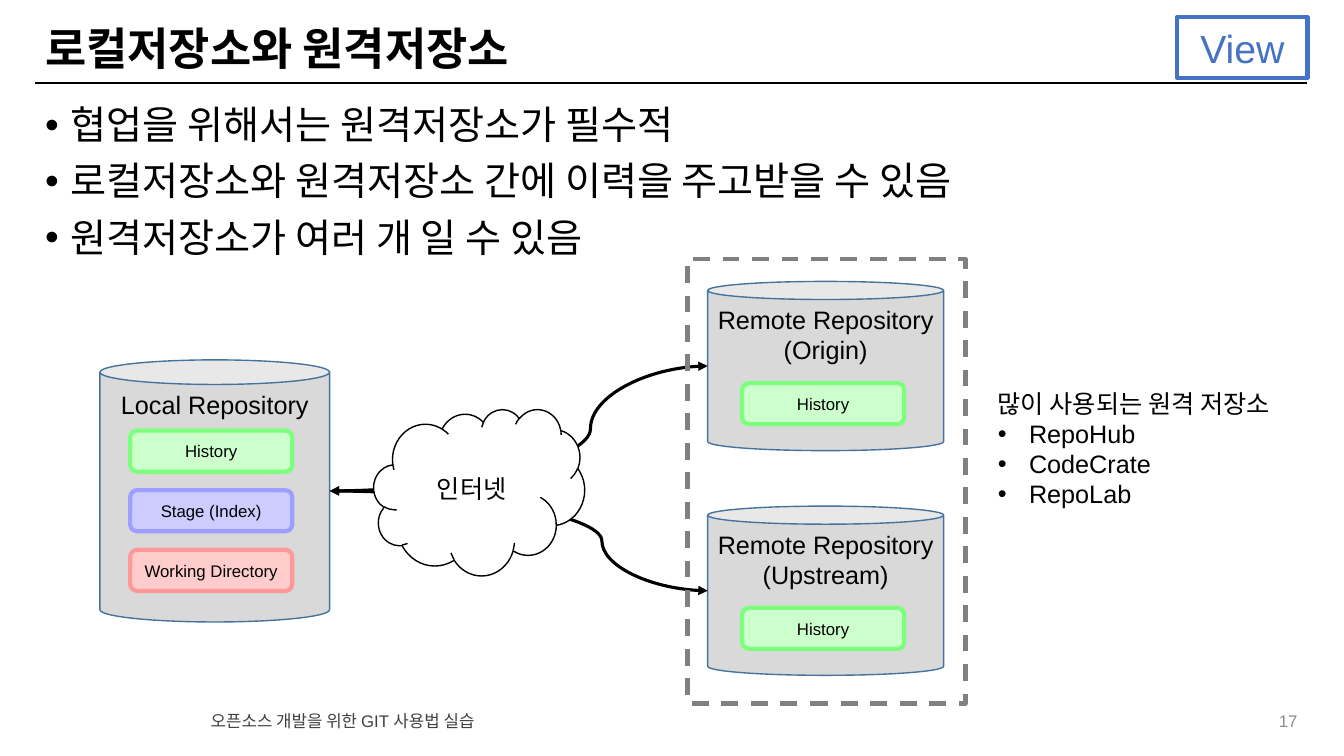
from collections import namedtuple
from dataclasses import dataclass

from lxml.etree import SubElement
from pptx import Presentation
from pptx.dml.color import RGBColor
from pptx.enum.dml import MSO_LINE
from pptx.enum.shapes import MSO_CONNECTOR, MSO_SHAPE
from pptx.enum.text import MSO_ANCHOR, PP_ALIGN
from pptx.oxml.ns import qn
from pptx.util import Inches, Pt

COLS, ROWS = 32, 18
WIDTH, HEIGHT = Inches(13.33), Inches(7.5)
Box = namedtuple("Box", "x y w h")


@dataclass(frozen=True)
class Theme:
    """Colours, type sizes and font of the slide."""
    font: str = "Arial"
    title: int = 32
    body: int = 28
    label: int = 18
    small: int = 12
    ink: str = "000000"
    paper: str = "FFFFFF"
    accent: str = "4472C4"
    footer: str = "404040"
    number: str = "8C8C8C"
    frame: str = "808080"
    can: tuple = ("D9D9D9", "43739E")
    history: tuple = ("CCFFCC", "7CFF7C")
    stage: tuple = ("CCCCFF", "9E9EFF")
    working: tuple = ("FFCCCC", "FF9999")


T = Theme()


def emu(*cells):
    """Turn alternating column and row counts into slide lengths."""
    return [int(c * (HEIGHT / ROWS if i % 2 else WIDTH / COLS)) for i, c in enumerate(cells)]


def write(sp, lines, size, color=T.ink, align=PP_ALIGN.LEFT, anchor=MSO_ANCHOR.MIDDLE,
          bold=False, spacing=None, before=0, indent=0, bullets_from=None, wrap=True):
    """Fill a shape with formatted paragraphs, bulleted from a given line on."""
    tf = sp.text_frame
    tf.text = "\n".join(lines)
    tf.word_wrap, tf.vertical_anchor = wrap, anchor
    for i, p in enumerate(tf.paragraphs):
        p.alignment = align
        if spacing:
            p.line_spacing = spacing
        if before and i:
            p.space_before = Pt(before)
        if bullets_from is not None and i >= bullets_from:
            pPr = p._p.get_or_add_pPr()
            pPr.set("marL", str(Inches(indent)))
            pPr.set("indent", str(-Inches(indent)))
            SubElement(pPr, qn("a:buFont")).set("typeface", T.font)
            SubElement(pPr, qn("a:buChar")).set("char", "•")
        for r in p.runs:
            r.font.name, r.font.size, r.font.bold = T.font, Pt(size), bold
            r.font.color.rgb = RGBColor.from_string(color)


def text(s, box, lines, size, **style):
    """Add a text box."""
    write(s.shapes.add_textbox(*emu(*box)), lines, size, **style)


def shape(s, kind, box, fill, line, width):
    """Add a flat preset shape, unfilled when fill is None."""
    sp = s.shapes.add_shape(kind, *emu(*box))
    sp.shadow.inherit = False
    if fill:
        sp.fill.solid()
        sp.fill.fore_color.rgb = RGBColor.from_string(fill)
    else:
        sp.fill.background()
    sp.line.color.rgb = RGBColor.from_string(line)
    sp.line.width = Pt(width)
    return sp


def connector(s, kind, start, end, width):
    """Add a black line without a shadow."""
    c = s.shapes.add_connector(kind, *emu(*start, *end))
    c.line.color.rgb = RGBColor.from_string(T.ink)
    c.line.width = Pt(width)
    SubElement(c._element.spPr, qn("a:effectLst"))
    return c


def curve(s, start, end, bend):
    """Add a curved two-headed arrow that turns at the given share of its width."""
    c = connector(s, MSO_CONNECTOR.CURVE, start, end, 2.25)
    ln = c.line._get_or_add_ln()
    for tag in ("a:headEnd", "a:tailEnd"):
        SubElement(ln, qn(tag)).set("type", "triangle")
    guides = c._element.spPr.find(qn("a:prstGeom")).get_or_add_avLst()
    gd = SubElement(guides, qn("a:gd"))
    gd.set("name", "adj1")
    gd.set("fmla", f"val {round(bend * 100000)}")


def repository(s, box, lines, tags, tag_x, tag_y):
    """Draw a storage can with its name and a column of tags."""
    sp = shape(s, MSO_SHAPE.CAN, box, *T.can, 1)
    sp.adjustments[0] = 0.107
    sp.text_frame.margin_left = sp.text_frame.margin_right = Inches(0.05)
    write(sp, lines, T.label, align=PP_ALIGN.CENTER, anchor=MSO_ANCHOR.TOP)
    for i, (name, colors) in enumerate(tags):
        tag_box = Box(box.x + tag_x, box.y + tag_y + i * 1.42, 3.86, 0.98)
        tag = shape(s, MSO_SHAPE.ROUNDED_RECTANGLE, tag_box, *colors, 3)
        tag.text_frame.margin_left = tag.text_frame.margin_right = Inches(0.05)
        write(tag, [name], T.small, align=PP_ALIGN.CENTER)


def header(s, box):
    """Draw the title, its rule and the badge at the right end."""
    rule = box.y + box.h
    connector(s, MSO_CONNECTOR.STRAIGHT, (box.x, rule), (box.x + box.w, rule), 1.5)
    text(s, Box(box.x, box.y + 0.21, box.w, 1.2), ["로컬저장소와 원격저장소"], T.title,
         bold=True, spacing=0.9)
    badge = Box(box.x + box.w - 3.1, box.y, 3.1, 1.44)
    sp = shape(s, MSO_SHAPE.RECTANGLE, badge, None, T.accent, 3)
    write(sp, ["View"], T.body, color=T.accent, align=PP_ALIGN.CENTER)


def body(s, box):
    """Write the main bullets."""
    text(s, box, ["협업을 위해서는 원격저장소가 필수적",
                  "로컬저장소와 원격저장소 간에 이력을 주고받을 수 있음",
                  "원격저장소가 여러 개 일 수 있음"], T.body, anchor=MSO_ANCHOR.TOP,
         spacing=0.9, before=10, indent=0.25, bullets_from=0)


def diagram(s, box):
    """Draw the local store, the cloud and the framed remote stores."""
    history = ("History", T.history)
    local = Box(box.x, box.y + 2.4, 5.47, 6.24)
    repository(s, local, ["Local Repository"],
               [history, ("Stage (Index)", T.stage), ("Working Directory", T.working)], 0.72, 1.68)
    frame = Box(box.x + box.w - 6.62, box.y, 6.62, box.h)
    port = (local.x + local.w, local.y + local.h / 2)
    for i, (name, bend) in enumerate((("(Origin)", 0.69), ("(Upstream)", 0.72))):
        remote = Box(frame.x + 0.48, frame.y + 0.53 + i * 5.35, 5.62, 4.03)
        repository(s, remote, ["Remote Repository", name], [history], 0.82, 2.42)
        curve(s, port, (remote.x, remote.y + remote.h / 2), bend)
    cloud = shape(s, MSO_SHAPE.CLOUD, Box(box.x + 6.52, box.y + 3.57, 5.02, 3.96),
                  T.paper, T.ink, 1)
    write(cloud, ["인터넷"], T.label, align=PP_ALIGN.CENTER)
    outline = shape(s, MSO_SHAPE.RECTANGLE, frame, None, T.frame, 3)
    outline.line.dash_style = MSO_LINE.DASH


def hosts(s, box):
    """List the common remote hosts."""
    text(s, box, ["많이 사용되는 원격 저장소", "RepoHub", "CodeCrate", "RepoLab"], T.label,
         anchor=MSO_ANCHOR.TOP, indent=0.31, bullets_from=1, wrap=False)


def footer(s, box):
    """Write the course name and the slide number."""
    text(s, Box(box.x + 3.94, box.y, 18.79, box.h), ["오픈소스 개발을 위한 GIT 사용법 실습"],
         T.small, color=T.footer)
    text(s, Box(box.x + box.w - 7.2, box.y, 7.2, box.h), ["17"],
         T.small, color=T.number, align=PP_ALIGN.RIGHT)


def main():
    """Build the slide and save it."""
    prs = Presentation()
    prs.slide_width, prs.slide_height = WIDTH, HEIGHT
    s = prs.slides.add_slide(prs.slide_layouts[6])
    left, width = 0.84, 30.29
    header(s, Box(left, 0.41, width, 1.56))
    body(s, Box(left, 2.4, width, 13.82))
    diagram(s, Box(2.38, 6.17, 20.61, 10.58))
    hosts(s, Box(23.52, 9.12, 7.66, 3.14))
    footer(s, Box(left, 16.68, width, 0.96))
    prs.save("out.pptx")


if __name__ == "__main__":
    main()
